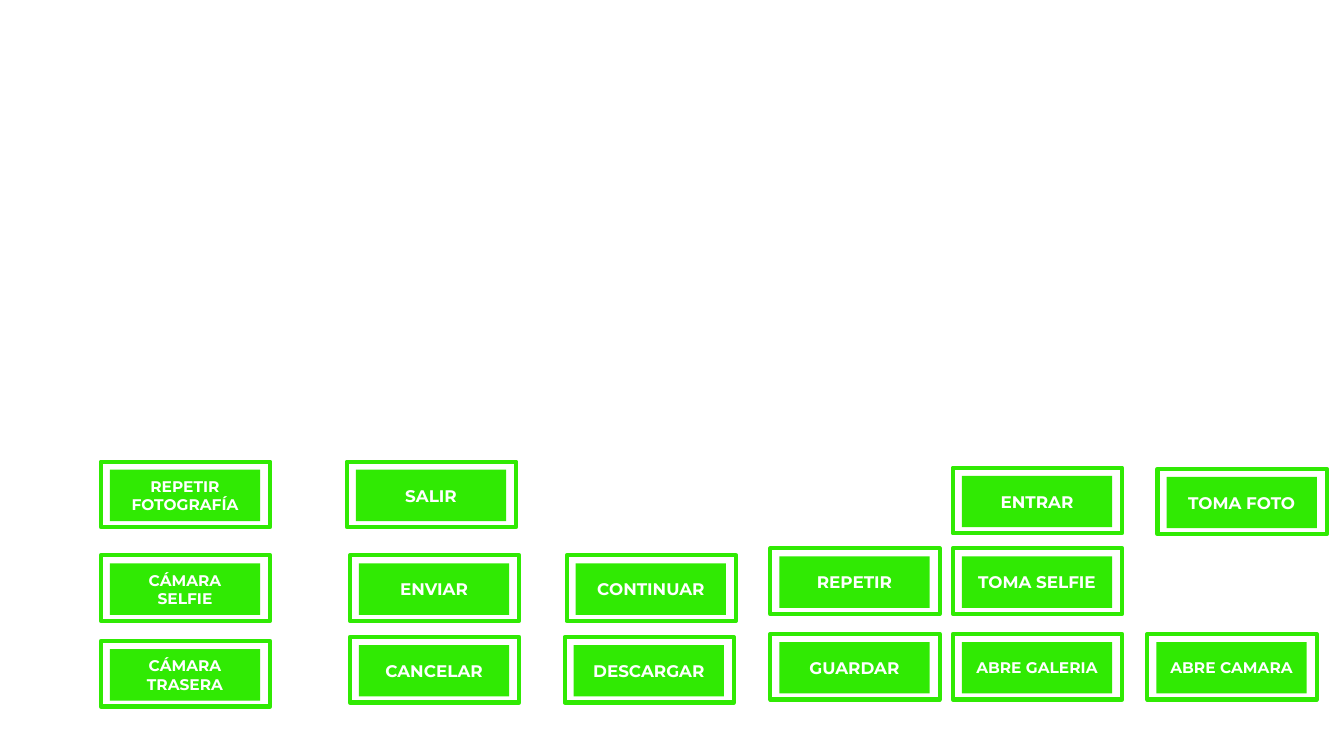
from dataclasses import dataclass

from pptx import Presentation
from pptx.dml.color import RGBColor as Color
from pptx.enum.shapes import MSO_SHAPE as Kind
from pptx.enum.text import MSO_ANCHOR as Anchor, PP_ALIGN as Align
from pptx.shapes.autoshape import Shape
from pptx.slide import Slide
from pptx.util import Inches, Pt


@dataclass(frozen=True)
class Theme:
    green: Color = Color.from_string("30EA03")
    white: Color = Color.from_string("FFFFFF")
    font: str = "Montserrat"
    large: int = 12
    small: int = 11
    line: int = 3


@dataclass(frozen=True)
class Button:
    label: str
    left: float
    top: float
    size: int = Theme.large


THEME = Theme()
FRAME_W, FRAME_H = 1.68, 0.65
PLATE_W, PLATE_H = 1.49, 0.51
PAD_X, PAD_Y = 0.09, 0.08

BUTTONS = [
    Button("ENTRAR", 9.45, 4.64),
    Button("TOMA SELFIE", 9.45, 5.44),
    Button("ABRE GALERIA", 9.45, 6.29, THEME.small),
    Button("REPETIR", 7.64, 5.44),
    Button("GUARDAR", 7.64, 6.29),
    Button("DESCARGAR", 5.6, 6.32),
    Button("ABRE CAMARA", 11.38, 6.29, THEME.small),
    Button("CANCELAR", 3.47, 6.32),
    Button("ENVIAR", 3.47, 5.51),
    Button("CONTINUAR", 5.62, 5.51),
    Button("CÁMARA SELFIE", 1, 5.51, THEME.small),
    Button("CÁMARA TRASERA", 1, 6.36, THEME.small),
    Button("TOMA FOTO", 11.48, 4.65),
    Button("REPETIR\nFOTOGRAFÍA", 1, 4.58, THEME.small),
    Button("SALIR", 3.44, 4.58),
]


def add_box(slide: Slide, left: float, top: float, width: float, height: float) -> Shape:
    box = slide.shapes.add_shape(
        Kind.RECTANGLE, Inches(left), Inches(top), Inches(width), Inches(height)
    )
    box.shadow.inherit = False
    return box


def add_plate(slide: Slide, button: Button) -> None:
    """Draw the filled, labelled inner part of a button."""
    plate = add_box(slide, button.left + PAD_X, button.top + PAD_Y, PLATE_W, PLATE_H)
    plate.fill.solid()
    plate.fill.fore_color.rgb = THEME.green
    plate.line.fill.background()
    text = plate.text_frame
    text.word_wrap = True
    text.vertical_anchor = Anchor.MIDDLE
    text.text = button.label
    for para in text.paragraphs:
        para.alignment = Align.CENTER
        para.font.name = THEME.font
        para.font.size = Pt(button.size)
        para.font.bold = True
        para.font.color.rgb = THEME.white


def add_frame(slide: Slide, button: Button) -> None:
    """Draw the green outline around a button."""
    frame = add_box(slide, button.left, button.top, FRAME_W, FRAME_H)
    frame.fill.background()
    frame.line.color.rgb = THEME.green
    frame.line.width = Pt(THEME.line)


def main() -> None:
    deck = Presentation()
    deck.slide_width = Inches(13.33)
    deck.slide_height = Inches(7.5)
    slide = deck.slides.add_slide(deck.slide_layouts[6])
    for button in BUTTONS:
        add_plate(slide, button)
        add_frame(slide, button)
    deck.save("out.pptx")


if __name__ == "__main__":
    main()
